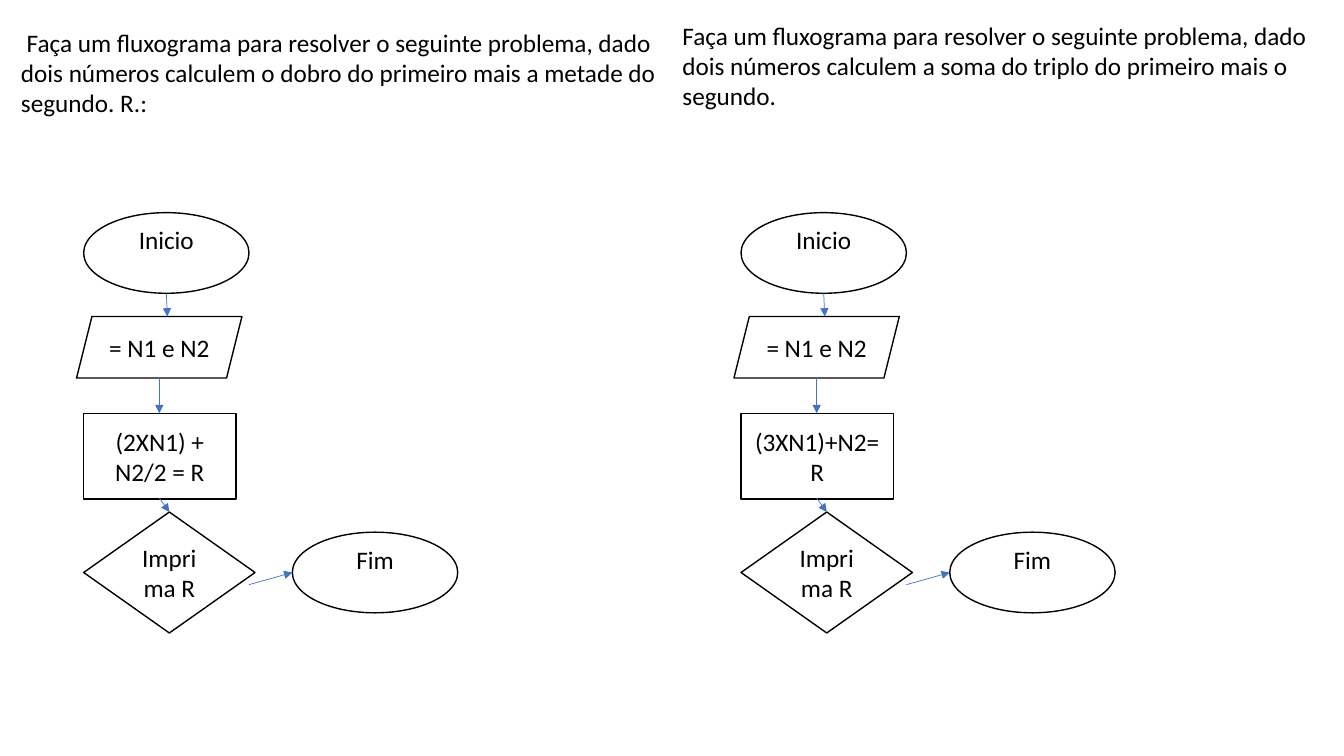
from lxml import etree
from pptx import Presentation
from pptx.dml.color import RGBColor
from pptx.enum.shapes import MSO_CONNECTOR, MSO_SHAPE
from pptx.enum.text import MSO_ANCHOR, MSO_AUTO_SIZE, PP_ALIGN
from pptx.oxml.ns import qn
from pptx.util import Inches, Pt

BLACK = RGBColor(0x00, 0x00, 0x00)
WHITE = RGBColor(0xFF, 0xFF, 0xFF)
BLUE = RGBColor(0x44, 0x72, 0xC4)
FONT = "Calibri"
FLOW_STEP = 6.52  # distance between the two flowcharts

ARROWS = [
    (1.65, 2.91, 1.66, 3.14),
    (1.58, 3.75, 1.58, 4.1),
    (1.58, 4.94, 1.68, 5.08),
    (2.47, 5.8, 2.9, 5.68),
]
PROBLEMS = [
    (0.11, 0.22, " Faça um fluxograma para resolver o seguinte problema, dado dois "
     "números calculem o dobro do primeiro mais a metade do segundo. R.: "),
    (6.67, 0.15, "Faça um fluxograma para resolver o seguinte problema, dado dois "
     "números calculem a soma do triplo do primeiro mais o segundo."),
]
FORMULAS = ["(2XN1) + N2/2 = R", "(3XN1)+N2=R"]


def add_run(p, text):
    """Add a run in the slide's text style."""
    r = p.add_run()
    r.text = text
    r.font.name = FONT
    r.font.size = Pt(18)
    r.font.color.rgb = BLACK


def add_problem(s, x, y, text):
    """Add a problem statement above a flowchart."""
    tf = s.shapes.add_textbox(Inches(x), Inches(y), Inches(6.66), Inches(1.01)).text_frame
    tf.word_wrap = True
    tf.auto_size = MSO_AUTO_SIZE.SHAPE_TO_FIT_TEXT
    add_run(tf.paragraphs[0], text)


def add_node(s, kind, x, y, w, h, text):
    """Add an outlined flowchart node with centred text."""
    sp = s.shapes.add_shape(kind, Inches(x), Inches(y), Inches(w), Inches(h))
    sp.shadow.inherit = False
    sp.fill.solid()
    sp.fill.fore_color.rgb = WHITE
    sp.line.color.rgb = BLACK
    sp.line.width = Pt(1)
    tf = sp.text_frame
    tf.word_wrap = True
    tf.vertical_anchor = MSO_ANCHOR.MIDDLE
    tf.paragraphs[0].alignment = PP_ALIGN.CENTER
    add_run(tf.paragraphs[0], text)
    return sp


def add_terminal(s, x, y, text):
    """Add a start or end ellipse with its label in the upper half."""
    tf = add_node(s, MSO_SHAPE.OVAL, x, y, 1.64, 0.8, text).text_frame
    tf.vertical_anchor = MSO_ANCHOR.TOP
    tf.margin_top = tf.margin_bottom = 0


def add_arrow(s, x1, y1, x2, y2):
    """Add a thin blue arrow between two points."""
    line = s.shapes.add_connector(
        MSO_CONNECTOR.STRAIGHT, Inches(x1), Inches(y1), Inches(x2), Inches(y2))
    line.line.color.rgb = BLUE
    line.line.width = Pt(0.5)
    etree.SubElement(line.line._get_or_add_ln(), qn("a:tailEnd"), type="triangle")
    etree.SubElement(line._element.spPr, qn("a:effectLst"))


def add_flowchart(s, dx, formula):
    """Add one flowchart, shifted right by dx inches."""
    add_terminal(s, dx + 0.83, 2.11, "Inicio")
    add_node(s, MSO_SHAPE.PARALLELOGRAM, dx + 0.76, 3.14, 1.64, 0.61, "= N1 e N2")
    add_node(s, MSO_SHAPE.RECTANGLE, dx + 0.83, 4.1, 1.51, 0.85, formula)
    add_node(s, MSO_SHAPE.DIAMOND, dx + 0.83, 5.08, 1.7, 1.2, "Imprima R")
    add_terminal(s, dx + 2.9, 5.28, "Fim")
    for x1, y1, x2, y2 in ARROWS:
        add_arrow(s, dx + x1, y1, dx + x2, y2)


def main():
    """Build the slide with two problems and their flowcharts."""
    prs = Presentation()
    prs.slide_width, prs.slide_height = Inches(13.33), Inches(7.5)
    s = prs.slides.add_slide(prs.slide_layouts[6])
    for problem in PROBLEMS:
        add_problem(s, *problem)
    for i, formula in enumerate(FORMULAS):
        add_flowchart(s, i * FLOW_STEP, formula)
    prs.save("out.pptx")


main()
